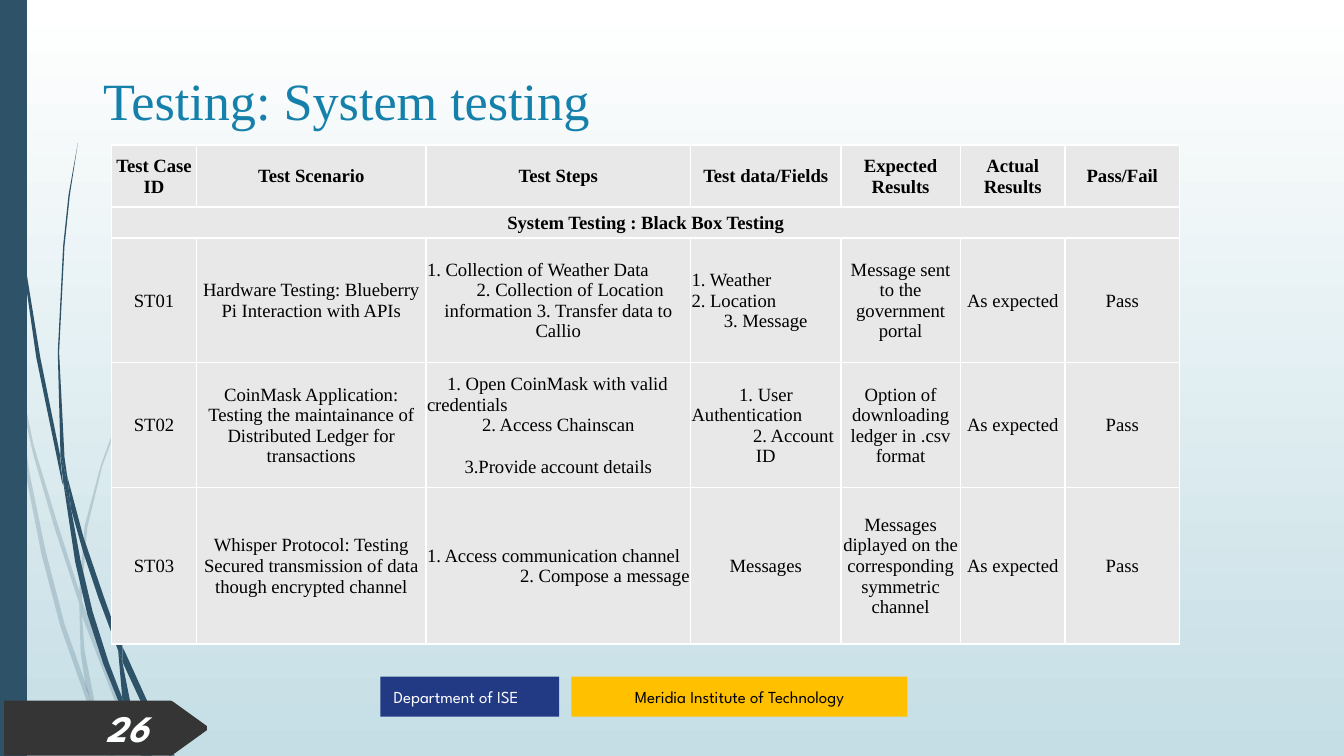
import pptx
import pptx.util
import pptx.dml.color
import pptx.enum.shapes
import pptx.enum.text
import pptx.oxml
import pptx.oxml.ns
from lxml import etree

Cm = pptx.util.Cm
Pt = pptx.util.Pt
RGB = pptx.dml.color.RGBColor.from_string
ALIGN = pptx.enum.text.PP_ALIGN
MIDDLE = pptx.enum.text.MSO_ANCHOR.MIDDLE
SERIF, SANS = "Times New Roman", "League Spartan"
COLORS = {
    "white": "FFFFFF", "mist": "C5DEE5", "slate": "2E5369", "title": "1581AA",
    "gold": "FFC000", "navy": "223A84", "charcoal": "353535",
    "number": "FEFFFF", "cell": "E8E8E8", "black": "000000",
}
HUNDREDTH = Cm(2.54) / 100


def write(paragraph, text, font=SERIF, size=10, color="black", bold=False,
          italic=False, align=ALIGN.CENTER, indent=0, before=0):
    run = paragraph.add_run()
    run.text = text
    run.font.name = font
    run.font.size = Pt(size)
    run.font.bold = bold
    run.font.italic = italic
    run.font.color.rgb = RGB(COLORS[color])
    paragraph.alignment = align
    paragraph.space_before = Pt(before)
    if indent:
        properties = paragraph._p.get_or_add_pPr()
        properties.set("marL", "0")
        properties.set("indent", str(Cm(indent)))


def outline(shapes, points, color):
    builder = shapes.build_freeform(*points[0], scale=HUNDREDTH)
    builder.add_line_segments(points[1:], close=True)
    shape = builder.convert_to_shape()
    shape.shadow.inherit = False
    shape.fill.solid()
    shape.fill.fore_color.rgb = RGB(COLORS[color])
    shape.line.fill.background()
    return shape


deck = pptx.Presentation()
deck.slide_width, deck.slide_height = Cm(25.4), Cm(14.28)
slide = deck.slides.add_slide(deck.slide_layouts[5])

backdrop = slide.background.fill
backdrop.gradient()
backdrop.gradient_angle = 270
for stop, position, tone in zip(backdrop.gradient_stops, (0, 1), ("white", "mist")):
    stop.position = position
    stop.color.rgb = RGB(COLORS[tone])

pale_blades = [
    [(8, 263), (6, 241), (0, 211), (0, 224), (7, 258)],
    [(40, 391), (59, 449), (59, 440), (43, 390), (25, 331), (10, 259), (12, 282), (25, 339)],
    [(64, 455), (61, 447), (61, 458), (85, 520), (104, 562), (108, 562), (88, 519)],
    [(83, 562), (86, 562), (73, 533)],
    [(65, 512), (48, 464), (34, 410), (22, 352), (12, 282), (8, 263), (19, 352), (31, 413),
     (45, 466), (64, 520), (70, 536), (69, 530)],
    [(59, 449), (60, 485), (64, 512), (67, 519), (73, 533), (72, 530), (63, 484), (61, 458), (61, 456)],
    [(61, 438), (65, 392), (76, 347), (92, 303), (111, 261), (134, 221), (159, 184), (187, 148),
     (201, 131), (217, 115), (201, 131), (186, 148), (158, 183), (133, 220), (110, 261), (91, 302),
     (75, 346), (63, 391), (59, 438), (59, 440), (61, 447)],
    [(70, 536), (79, 562), (82, 562)],
    [(61, 456), (61, 458), (61, 447), (59, 440), (59, 449)],
    [(67, 519), (65, 512), (69, 530), (70, 536), (82, 562), (83, 562), (73, 533)],
]
dark_blades = [
    [(5, 82), (14, 175), (27, 266), (46, 358), (47, 361), (45, 343), (45, 340), (30, 266),
     (15, 174), (6, 82), (4, 36), (3, 0), (2, 0), (3, 36)],
    [(73, 444), (88, 484), (88, 475), (88, 474), (77, 443), (62, 399), (50, 354), (53, 379), (62, 411)],
    [(94, 487), (91, 481), (91, 492), (109, 531), (126, 562), (130, 562), (113, 529)],
    [(91, 519), (81, 493), (69, 455), (60, 417), (53, 379), (47, 358), (56, 418), (65, 457),
     (77, 494), (92, 531), (97, 541), (96, 538)],
    [(50, 354), (48, 340), (44, 262), (48, 183), (52, 145), (58, 106), (51, 145), (47, 183),
     (43, 262), (45, 337), (49, 354)],
    [(110, 562), (113, 562), (101, 539)],
    [(47, 358), (53, 379), (50, 354), (49, 354), (45, 337), (45, 340)],
    [(91, 475), (95, 444), (103, 414), (115, 385), (131, 357), (149, 330), (169, 305), (191, 281),
     (203, 269), (216, 258), (215, 258), (203, 269), (191, 280), (168, 304), (148, 329), (129, 356),
     (113, 384), (101, 413), (92, 443), (88, 473), (91, 481)],
    [(97, 541), (105, 562), (108, 562)],
    [(88, 484), (91, 519), (96, 530), (101, 539), (100, 537), (91, 492), (90, 488)],
    [(88, 484), (90, 488), (91, 492), (91, 481), (88, 473), (88, 475)],
    [(96, 530), (91, 519), (96, 538), (97, 541), (108, 562), (110, 562), (101, 539)],
]
for blades, opacity in ((pale_blades, 20), (dark_blades, 100)):
    tuft = slide.shapes.add_group_shape()
    for points in blades:
        blade = outline(tuft.shapes, points, "slate")
        if opacity < 100:
            tint = blade.fill._xPr.find(".//" + pptx.oxml.ns.qn("a:srgbClr"))
            etree.SubElement(tint, pptx.oxml.ns.qn("a:alpha"), val=str(opacity * 1000))

panels = [
    (0, 0, 0.51, 14.28, "slate", "", {}),
    (10.8, 12.78, 6.35, 0.76, "gold", "Meridia Institute of Technology", {}),
    (7.19, 12.78, 3.38, 0.76, "navy", "Department of ISE", {"color": "white", "align": ALIGN.LEFT}),
]
for left, top, width, height, fill, label, look in panels:
    panel = slide.shapes.add_shape(
        pptx.enum.shapes.MSO_SHAPE.RECTANGLE, Cm(left), Cm(top), Cm(width), Cm(height))
    panel.shadow.inherit = False
    panel.fill.solid()
    panel.fill.fore_color.rgb = RGB(COLORS[fill])
    panel.line.fill.background()
    if label:
        panel.text_frame.vertical_anchor = MIDDLE
        write(panel.text_frame.paragraphs[0], label, font=SANS, size=9, **look)

outline(slide.shapes, [(154, 543), (129, 561), (127, 562), (3, 562), (3, 521), (127, 521),
                       (129, 522), (154, 540)], "charcoal")
page_number = slide.shapes.add_textbox(Cm(1.42), Cm(13.36), Cm(1.63), Cm(0.76)).text_frame
page_number.word_wrap = True
page_number.vertical_anchor = MIDDLE
write(page_number.paragraphs[0], "26", font=SANS, size=20, color="number",
      bold=True, italic=True, align=ALIGN.RIGHT)

heading = slide.shapes.title
heading.left, heading.top, heading.width, heading.height = Cm(1.7), Cm(0.86), Cm(21.59), Cm(3.07)
heading_frame = heading.text_frame
heading_frame.auto_size = pptx.enum.text.MSO_AUTO_SIZE.NONE
heading_frame.vertical_anchor = pptx.enum.text.MSO_ANCHOR.TOP
heading_frame.margin_left = heading_frame.margin_top = Cm(0.25)
heading_frame.paragraphs[0].line_spacing = 1.15
write(heading_frame.paragraphs[0], "Testing: System testing", size=28, color="title", align=ALIGN.LEFT)

LEFT, RIGHT = {"align": ALIGN.LEFT}, {"align": ALIGN.RIGHT}
test_rows = [
    ["Test Case ID", "Test Scenario", "Test Steps", "Test data/Fields", "Expected Results",
     "Actual Results", "Pass/Fail"],
    ["System Testing : Black Box Testing"],
    ["ST01", "Hardware Testing: Blueberry Pi Interaction with APIs",
     [("1. Collection of Weather Data", LEFT),
      ("2. Collection of Location information 3. Transfer data to Callio", {"indent": 0.45})],
     [("1. Weather", LEFT), ("2. Location", LEFT), ("3. Message", {})],
     "Message sent to the government portal", "As expected", "Pass"],
    ["ST02", "CoinMask Application: Testing the maintainance of Distributed Ledger for transactions",
     [("1. Open CoinMask with valid credentials", {"align": ALIGN.LEFT, "indent": 0.38}),
      ("2. Access Chainscan", {}), ("3.Provide account details", {"before": 11})],
     [("1. User Authentication", {"align": ALIGN.LEFT, "indent": 0.9}),
      ("2. Account ID", {"indent": 1.05})],
     "Option of downloading ledger in .csv format", "As expected", "Pass"],
    ["ST03", "Whisper Protocol: Testing Secured transmission of data though encrypted channel",
     [("1. Access communication channel", LEFT), ("2. Compose a message", RIGHT)],
     "Messages", "Messages diplayed on the corresponding symmetric channel", "As expected", "Pass"],
]
column_widths = [1.6, 4.34, 5, 2.84, 2.26, 1.98, 2.16]
row_heights = [1.17, 0.58, 2.36, 2.36, 2.95]
tests = slide.shapes.add_table(len(row_heights), len(column_widths), Cm(2.11), Cm(2.74),
                               Cm(sum(column_widths)), Cm(sum(row_heights))).table
for column, width in zip(tests.columns, column_widths):
    column.width = Cm(width)
for row, height in zip(tests.rows, row_heights):
    row.height = Cm(height)
tests.cell(1, 0).merge(tests.cell(1, len(column_widths) - 1))

for cell in tests.iter_cells():
    cell.fill.solid()
    cell.fill.fore_color.rgb = RGB(COLORS["cell"])
    cell.vertical_anchor = MIDDLE
    cell.margin_left = cell.margin_right = cell.margin_top = Cm(0.02)
    cell.margin_bottom = 0
    for place, side in enumerate(("lnL", "lnR", "lnT", "lnB")):
        cell._tc.get_or_add_tcPr().insert(place, pptx.oxml.parse_xml(
            f'<a:{side} {pptx.oxml.ns.nsdecls("a")} w="{Pt(1)}"><a:solidFill>'
            f'<a:srgbClr val="{COLORS["white"]}"/></a:solidFill></a:{side}>'))

for row_index, entries in enumerate(test_rows):
    for column_index, entry in enumerate(entries):
        frame = tests.cell(row_index, column_index).text_frame
        steps = [(entry, {})] if isinstance(entry, str) else entry
        for step_index, (step, look) in enumerate(steps):
            paragraph = frame.add_paragraph() if step_index else frame.paragraphs[0]
            write(paragraph, step, bold=row_index < 2, **look)

deck.save("out.pptx")
